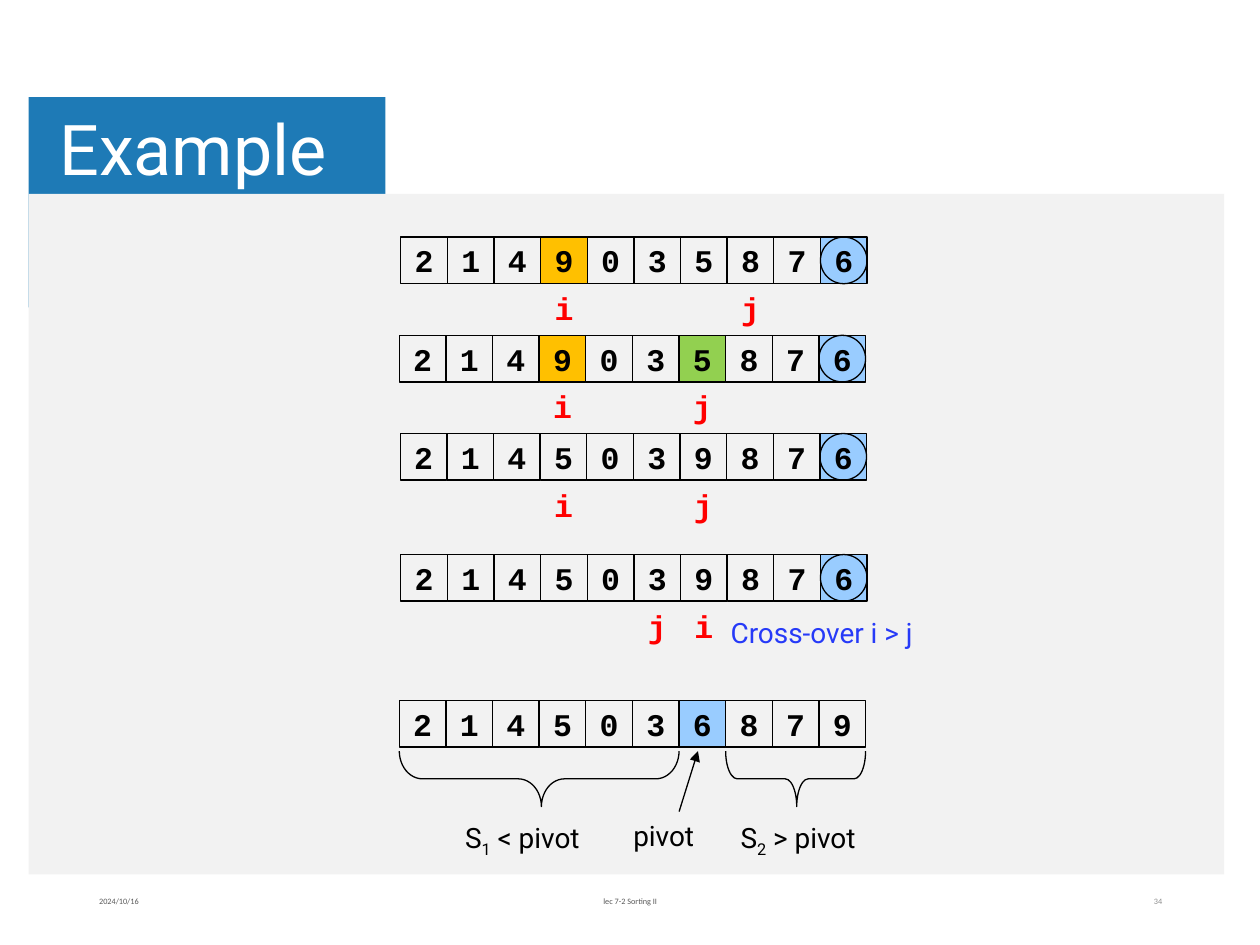
import dataclasses

import lxml.etree
import pptx
import pptx.dml.color
import pptx.enum.shapes
import pptx.enum.text
import pptx.oxml.ns
import pptx.util

Cm = pptx.util.Cm
SHAPE = pptx.enum.shapes.MSO_SHAPE
ALIGN = pptx.enum.text.PP_ALIGN
ANCHOR = pptx.enum.text.MSO_ANCHOR


@dataclasses.dataclass(frozen=True)
class Theme:
    banner: str = "1E7AB6"
    panel: str = "F2F2F2"
    white: str = "FFFFFF"
    ink: str = "000000"
    marker: str = "FF0000"
    note: str = "263AF8"
    pivot: str = "99CCFF"
    left_stop: str = "FFC000"
    right_stop: str = "92D050"
    footer: str = "595959"
    page_number: str = "8C8C8C"
    body_font: str = "Roboto"
    code_font: str = "Courier New"
    footer_font: str = "Calibri"
    title_size: float = 40
    code_size: float = 18
    label_size: float = 16
    footer_size: float = 4.7
    line_width: float = 0.75


theme = Theme()
presentation = pptx.Presentation()
presentation.slide_width = Cm(25.4)
presentation.slide_height = Cm(19.05)
slide = presentation.slides.add_slide(presentation.slide_layouts[6])


def add_box(kind, left, top, width, height, fill=None, line=None):
    """Add a preset shape, or a text box if kind is None; lengths are in cm."""
    bounds = Cm(left), Cm(top), Cm(width), Cm(height)
    if kind is None:
        return slide.shapes.add_textbox(*bounds)
    shape = slide.shapes.add_shape(kind, *bounds)
    shape.shadow.inherit = False
    if fill:
        shape.fill.solid()
        shape.fill.fore_color.rgb = pptx.dml.color.RGBColor.from_string(fill)
    else:
        shape.fill.background()
    if line:
        shape.line.color.rgb = pptx.dml.color.RGBColor.from_string(line)
        shape.line.width = pptx.util.Pt(theme.line_width)
    else:
        shape.line.fill.background()
    return shape


def write_text(shape, text, size=theme.label_size, font=theme.body_font, color=theme.ink,
               bold=False, align=ALIGN.CENTER, anchor=ANCHOR.MIDDLE, wrap=True):
    """Fill one paragraph; text between underscores is set as subscript."""
    frame = shape.text_frame
    frame.word_wrap = wrap
    frame.vertical_anchor = anchor
    paragraph = frame.paragraphs[0]
    paragraph.alignment = align
    for index, part in enumerate(text.split("_")):
        run = paragraph.add_run()
        run.text = part
        run.font.size = pptx.util.Pt(size)
        run.font.name = font
        run.font.bold = bold
        run.font.color.rgb = pptx.dml.color.RGBColor.from_string(color)
        if index % 2:
            run._r.get_or_add_rPr().set("baseline", "-25000")
    return frame


# Banner, panel and title
add_box(SHAPE.RECTANGLE, 0.58, 1.96, 7.19, 4.24, fill=theme.banner)
add_box(SHAPE.RECTANGLE, 0.58, 3.91, 24.1, 13.72, fill=theme.panel)
title = write_text(add_box(None, 1.02, 2.08, 19.08, 2.01), "Example",
                   size=theme.title_size, color=theme.white, align=ALIGN.LEFT)
title.margin_left = title.margin_right = Cm(0.18)
title.margin_top = title.margin_bottom = Cm(0.1)
title.paragraphs[0].line_spacing = 0.9

# Footer
for text, left, width, align, color in (
    ("2024/10/16", 1.75, 5.72, ALIGN.LEFT, theme.footer),
    ("lec 7-2 Sorting II", 8.41, 8.59, ALIGN.CENTER, theme.footer),
    ("34", 17.96, 5.72, ALIGN.RIGHT, theme.page_number),
):
    write_text(add_box(None, left, 17.65, width, 1.02), text, size=theme.footer_size,
               font=theme.footer_font, color=color, align=align)

# Array states: left, top, digits, fills by index, markers by index, circled index
cell = 0.94
array_left = 8.05
array_states = (
    (8.08, 4.78, "2149035876", {3: theme.left_stop, 9: theme.pivot}, {3: "i", 7: "j"}, 9),
    (8.05, 6.76, "2149035876",
     {3: theme.left_stop, 6: theme.right_stop, 9: theme.pivot}, {3: "i", 6: "j"}, 9),
    (8.07, 8.74, "2145039876", {9: theme.pivot}, {3: "i", 6: "j"}, 9),
    (8.08, 11.18, "2145039876", {9: theme.pivot}, {5: "j", 6: "i"}, 9),
    (array_left, 14.12, "2145036879", {6: theme.pivot}, {}, None),
)
code_format = dict(size=theme.code_size, font=theme.code_font, bold=True, wrap=False)
for left, top, digits, fills, markers, circled in array_states:
    for index, digit in enumerate(digits):
        square = add_box(SHAPE.RECTANGLE, left + index * cell, top, cell, cell,
                         fill=fills.get(index), line=theme.ink)
        write_text(square, digit, **code_format)
    if circled is not None:
        add_box(SHAPE.OVAL, left + circled * cell, top, cell, cell, line=theme.ink)
    for index, name in markers.items():
        write_text(add_box(None, left + index * cell, top + 0.96, cell, cell), name,
                   color=theme.marker, **code_format)

write_text(add_box(None, 14.48, 12.29, 5.08, 0.94), "Cross-over i > j",
           color=theme.note, align=ALIGN.LEFT, anchor=ANCHOR.TOP)

# Braces under the two partitions: first cell, cell count, curvature
brace_depth = 1.12
brace_middle = 15.7
for first, count, curvature in ((0, 6, 0.417), (7, 3, 0.208)):
    span = count * cell
    center = array_left + first * cell + span / 2
    brace = add_box(SHAPE.LEFT_BRACE, center - brace_depth / 2, brace_middle - span / 2,
                    brace_depth, span, line=theme.ink)
    brace.rotation = 270
    brace.adjustments[0] = curvature
    brace.adjustments[1] = 0.508

for text, left, top, width in (
    ("S_1_ < pivot", 8.97, 16.46, 3.12),
    ("pivot", 12.4, 16.36, 1.96),
    ("S_2_ > pivot", 14.5, 16.46, 3.18),
):
    write_text(add_box(None, left, top, width, 0.94), text)

# Arrow from the pivot label to its cell
arrow = slide.shapes.add_connector(pptx.enum.shapes.MSO_CONNECTOR.STRAIGHT,
                                   Cm(13.69), Cm(16.36), Cm(14.07), Cm(15.14))
arrow.line.color.rgb = pptx.dml.color.RGBColor.from_string(theme.ink)
arrow.line.width = pptx.util.Pt(theme.line_width)
lxml.etree.SubElement(arrow.line._get_or_add_ln(), pptx.oxml.ns.qn("a:tailEnd"), type="triangle")
lxml.etree.SubElement(arrow._element.spPr, pptx.oxml.ns.qn("a:effectLst"))

presentation.save("out.pptx")
